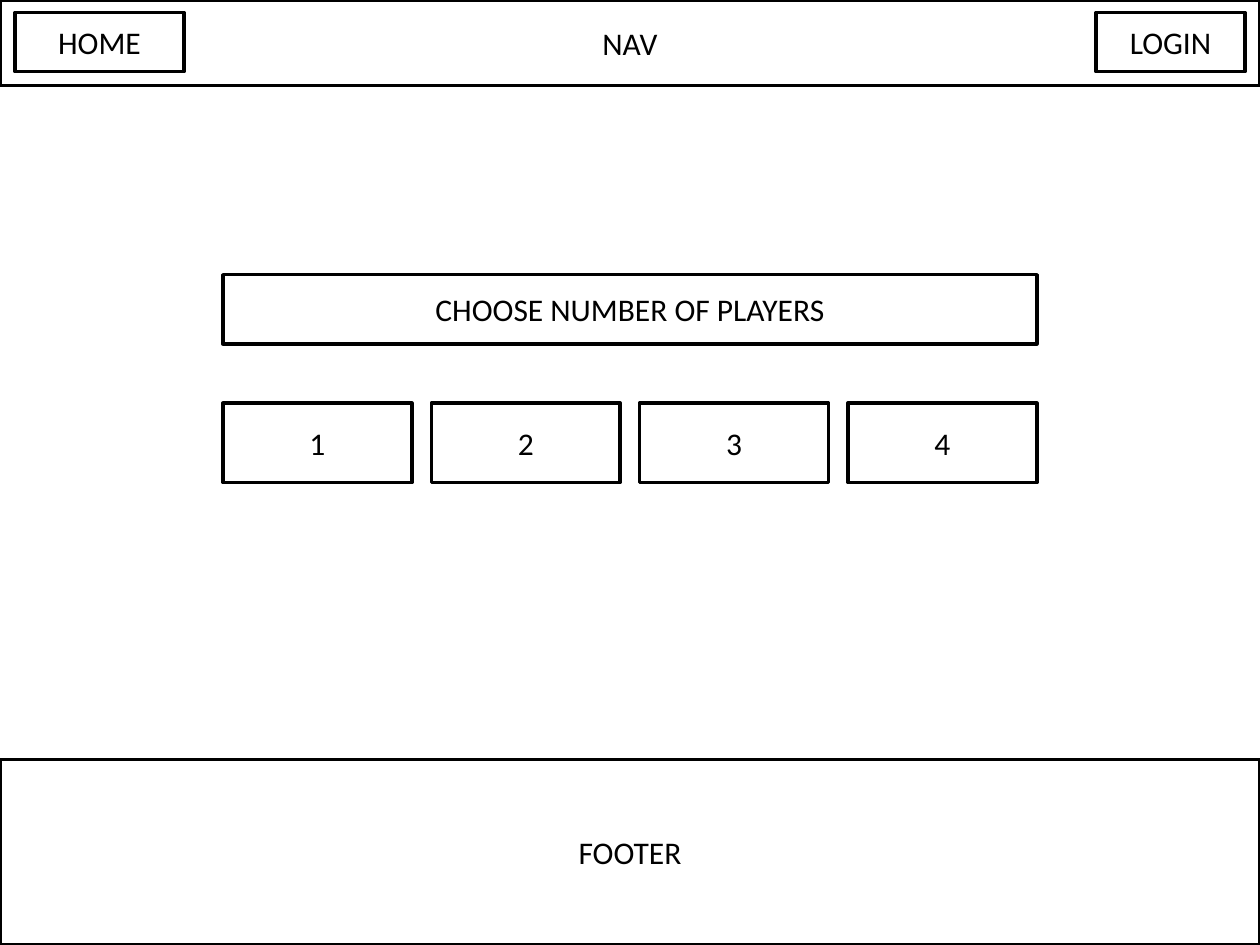
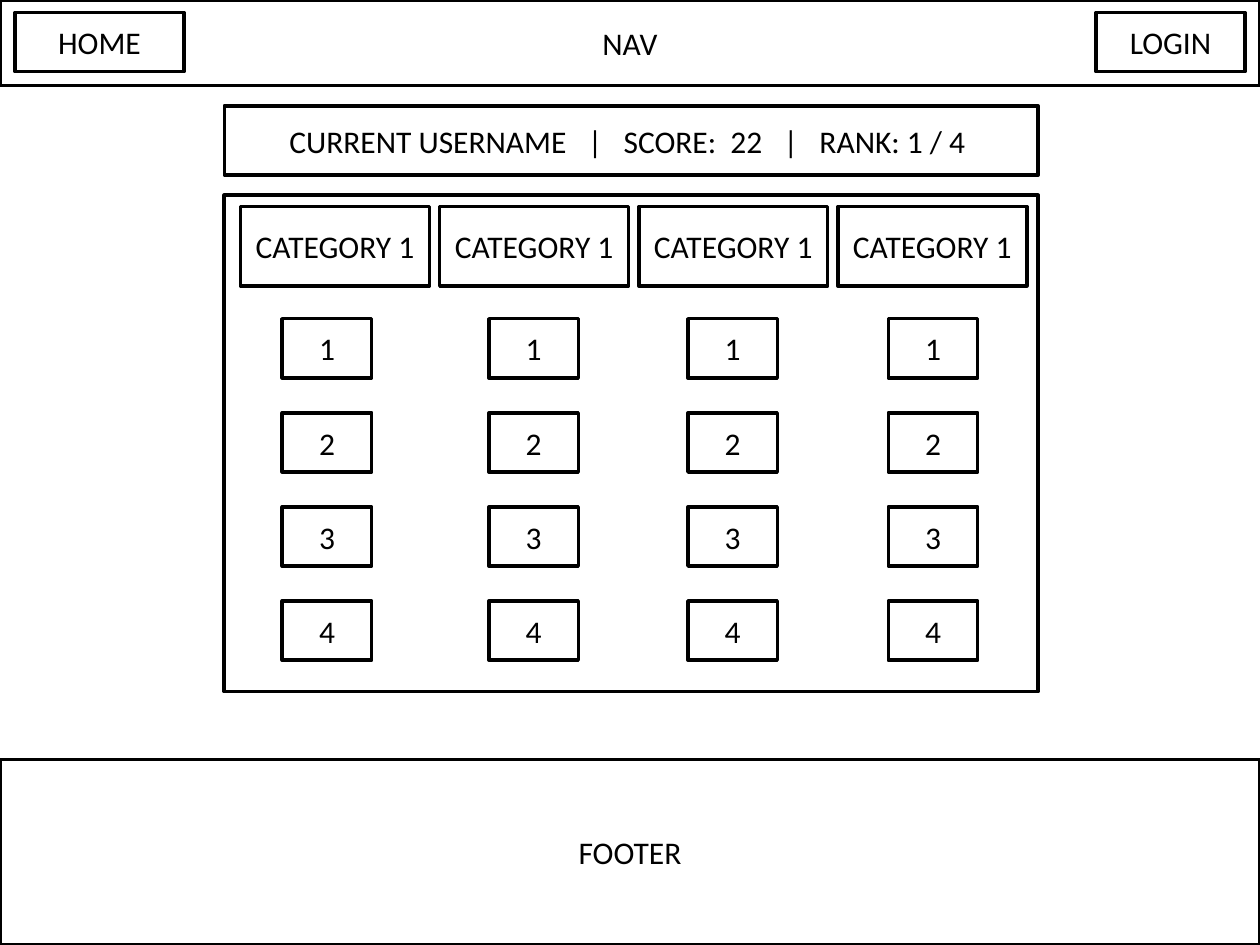
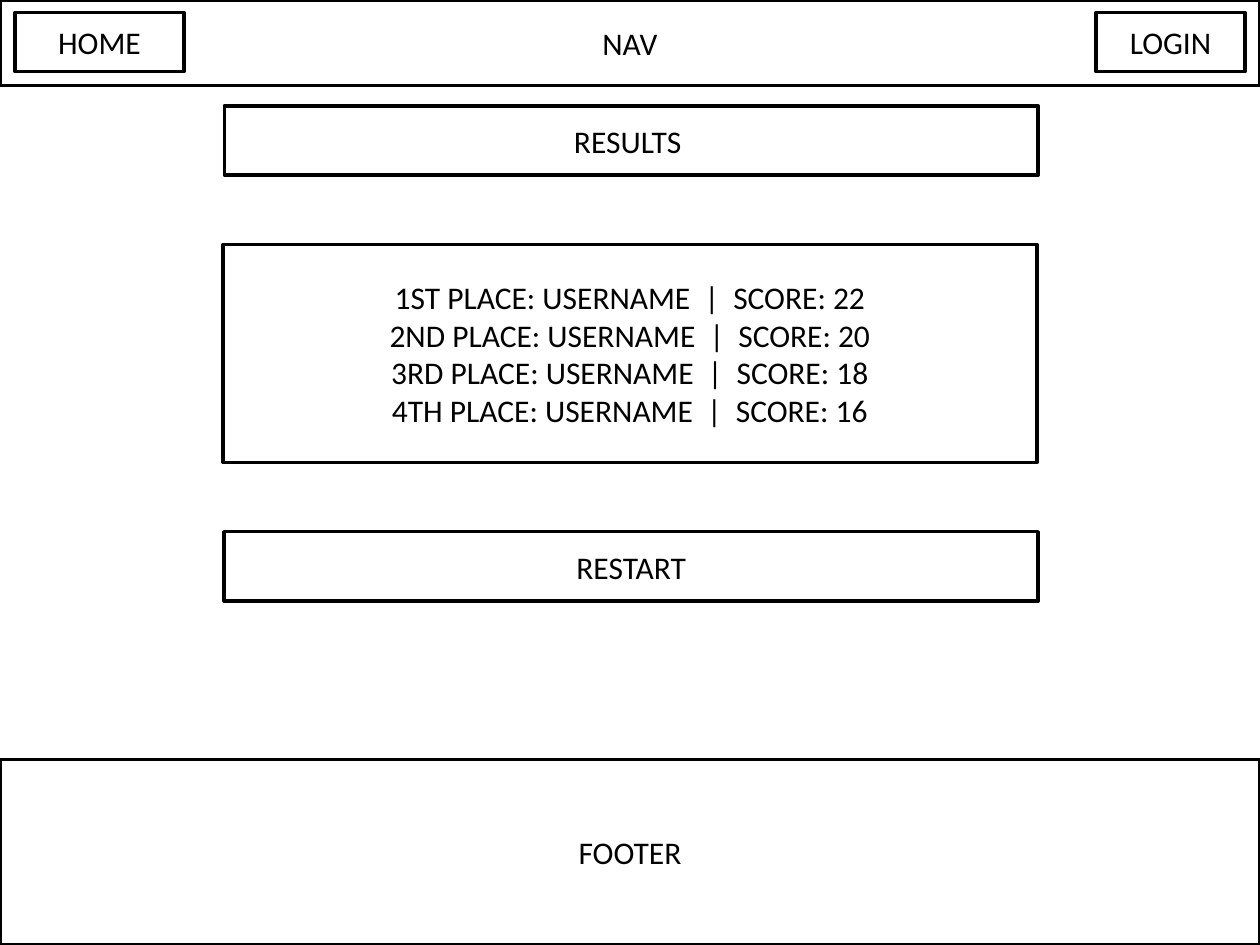
"""Build the wireframes of a quiz game: player choice, question board and results."""
from dataclasses import dataclass

from lxml import etree
from pptx import Presentation
from pptx import util as u
from pptx.dml.color import RGBColor
from pptx.enum import shapes, text
from pptx.oxml import ns


@dataclass(frozen=True)
class Theme:
    ink: RGBColor = RGBColor(0, 0, 0)
    paper: RGBColor = RGBColor(255, 255, 255)
    font: str = "Calibri"
    size: u.Pt = u.Pt(18)
    outline: u.Pt = u.Pt(2)


THEME = Theme()
SLIDE_WIDTH, SLIDE_HEIGHT = 10, 7.5
PANEL_LEFT, PANEL_WIDTH = 1.78, 6.46
CHOICE_LEFT = 1.77
BANNER_TOP, BANNER_HEIGHT = 0.84, 0.55
CARD_WIDTH, CARD_HEIGHT = 1.5, 0.63
NUMBER_WIDTH, BUTTON_HEIGHT = 0.71, 0.47
NUMBER_LEFTS = (2.24, 3.88, 5.46, 7.05)
NUMBERS = ("1", "2", "3", "4")
STANDINGS = (("1ST", 22), ("2ND", 20), ("3RD", 18), ("4TH", 16))


def spread(first, last, count):
    """Return evenly spaced positions from first to last."""
    return [first + (last - first) * i / (count - 1) for i in range(count)]


def outline(element):
    """Give an element the shared fill and outline."""
    element.fill.solid()
    element.fill.fore_color.rgb = THEME.paper
    element.line.color.rgb = THEME.ink
    element.line.width = THEME.outline


def write(element, lines):
    """Write centred lines in the shared type."""
    frame = element.text_frame
    frame.word_wrap = True
    frame.auto_size = text.MSO_AUTO_SIZE.NONE
    frame.vertical_anchor = text.MSO_ANCHOR.MIDDLE
    for index, line in enumerate(lines):
        paragraph = frame.add_paragraph() if index else frame.paragraphs[0]
        paragraph.alignment = text.PP_ALIGN.CENTER
        paragraph.space_before = u.Pt(0)
        run = paragraph.add_run()
        run.text = line
        run.font.name = THEME.font
        run.font.size = THEME.size
        run.font.color.rgb = THEME.ink


def add_box(slide, left, top, width, height, *lines):
    """Add an outlined rectangle with optional lines of text."""
    box = slide.shapes.add_shape(
        shapes.MSO_SHAPE.RECTANGLE, *map(u.Inches, (left, top, width, height)))
    box.shadow.inherit = False
    outline(box)
    write(box, lines)


def fill_placeholder(holder, left, top, width, height, *lines):
    """Move a placeholder and format it as an outlined panel."""
    holder.left, holder.top = u.Inches(left), u.Inches(top)
    holder.width, holder.height = u.Inches(width), u.Inches(height)
    outline(holder)
    write(holder, lines)


def remove_bullets(holder):
    """Remove bullets and indents from a list."""
    for paragraph in holder.text_frame.paragraphs:
        properties = paragraph._p.get_or_add_pPr()
        properties.set("marL", "0")
        properties.set("indent", "0")
        etree.SubElement(properties, ns.qn("a:buNone"))


def add_page(deck, layout, heading, left=PANEL_LEFT, top=BANNER_TOP):
    """Add a slide with navigation, footer and heading."""
    slide = deck.slides.add_slide(deck.slide_layouts.get_by_name(layout))
    add_box(slide, 0, 0, SLIDE_WIDTH, 0.68, "NAV")
    add_box(slide, 8.7, 0.1, 1.18, BUTTON_HEIGHT, "LOGIN")
    add_box(slide, 0.12, 0.1, 1.34, BUTTON_HEIGHT, "HOME")
    add_box(slide, 0, 6.03, SLIDE_WIDTH, 1.47, "FOOTER")
    fill_placeholder(slide.shapes.title, left, top, PANEL_WIDTH, BANNER_HEIGHT, heading)
    return slide


def build_player_choice(deck):
    """Build the choice of the number of players."""
    slide = add_page(deck, "Title Only", "CHOOSE NUMBER OF PLAYERS", CHOICE_LEFT, 2.18)
    for left, number in zip(spread(CHOICE_LEFT, 6.73, len(NUMBERS)), NUMBERS):
        add_box(slide, left, 3.2, CARD_WIDTH, CARD_HEIGHT, number)


def build_board(deck):
    """Build the board of categories and numbered questions."""
    slide = add_page(deck, "Title Only",
                     "CURRENT USERNAME   |   SCORE:  22   |   RANK: 1 / 4 ")
    add_box(slide, PANEL_LEFT, 1.55, PANEL_WIDTH, 3.94)
    for left in spread(1.91, 6.65, len(NUMBER_LEFTS)):
        add_box(slide, left, 1.64, CARD_WIDTH, CARD_HEIGHT, "CATEGORY 1")
    for left in NUMBER_LEFTS:
        for top, number in zip(spread(2.53, 4.77, len(NUMBERS)), NUMBERS):
            add_box(slide, left, top, NUMBER_WIDTH, BUTTON_HEIGHT, number)


def build_results(deck):
    """Build the final standings with the restart button."""
    slide = add_page(deck, "Title and Content", "RESULTS ")
    standings = slide.placeholders[1]
    fill_placeholder(
        standings, CHOICE_LEFT, 1.94, PANEL_WIDTH, 1.73,
        *(f"{place} PLACE: USERNAME  |  SCORE: {score}" for place, score in STANDINGS))
    remove_bullets(standings)
    add_box(slide, PANEL_LEFT, 4.22, PANEL_WIDTH, BANNER_HEIGHT, "RESTART")


def main():
    """Build and save the deck."""
    deck = Presentation()
    deck.slide_width, deck.slide_height = u.Inches(SLIDE_WIDTH), u.Inches(SLIDE_HEIGHT)
    build_player_choice(deck)
    build_board(deck)
    build_results(deck)
    deck.save("out.pptx")


main()
